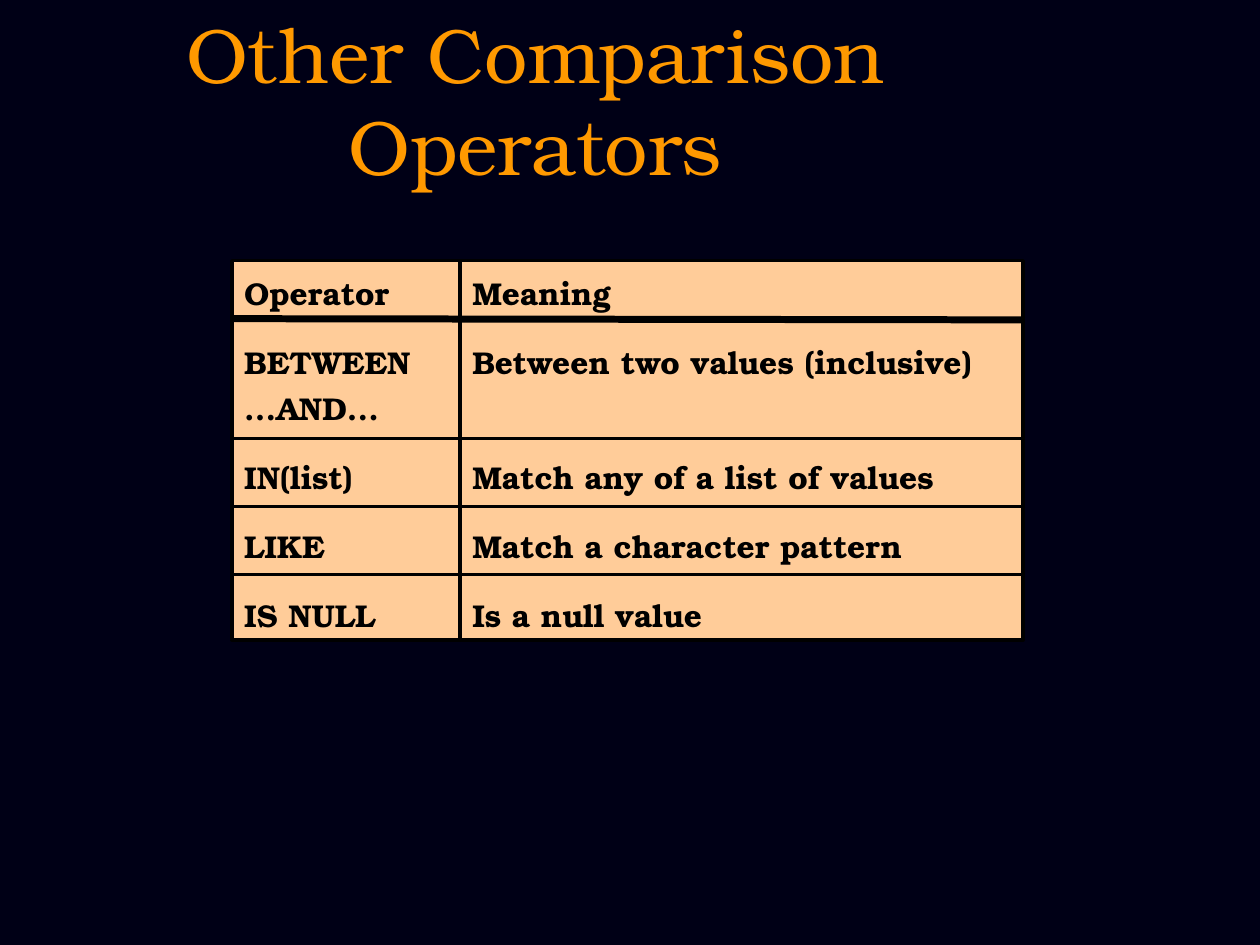
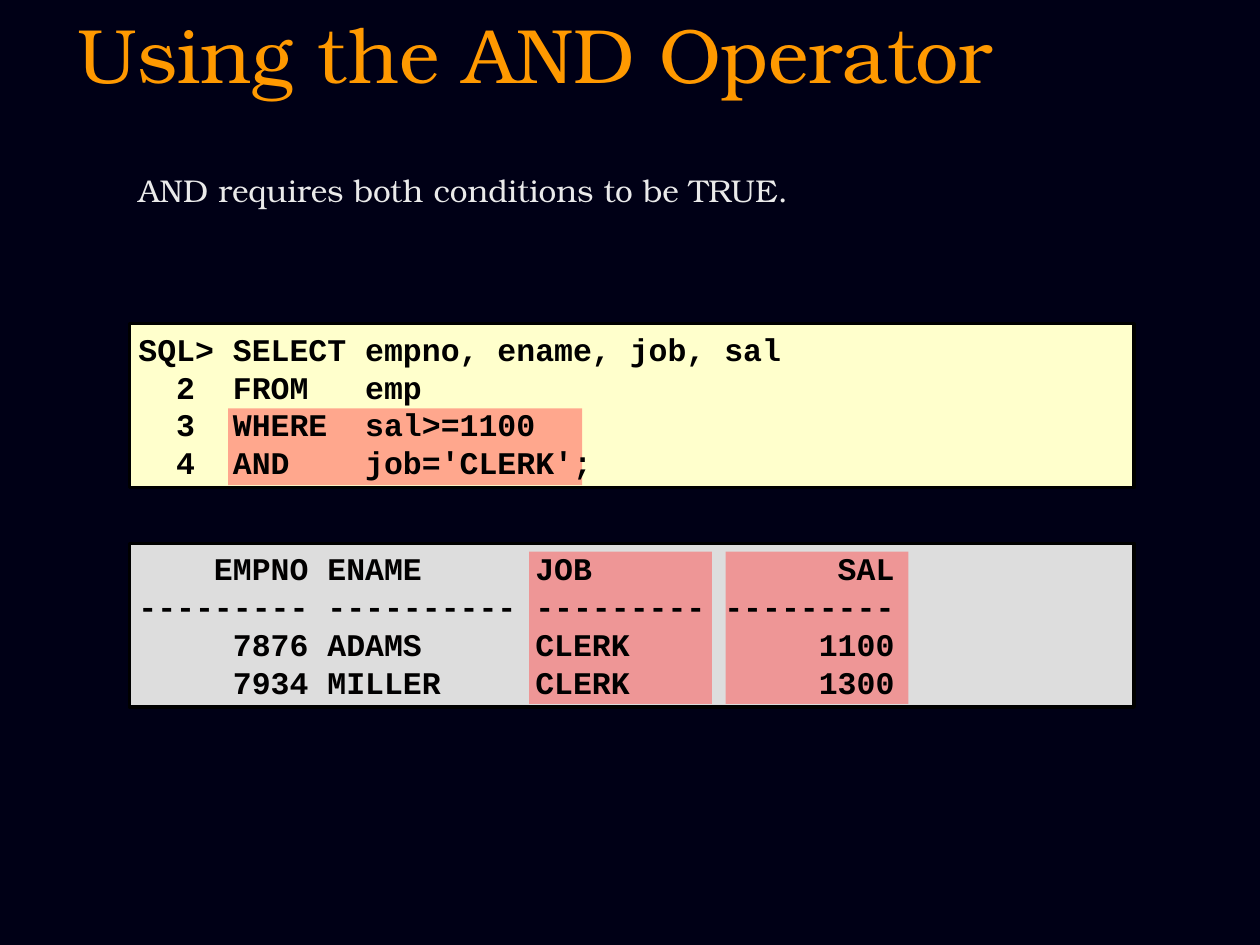
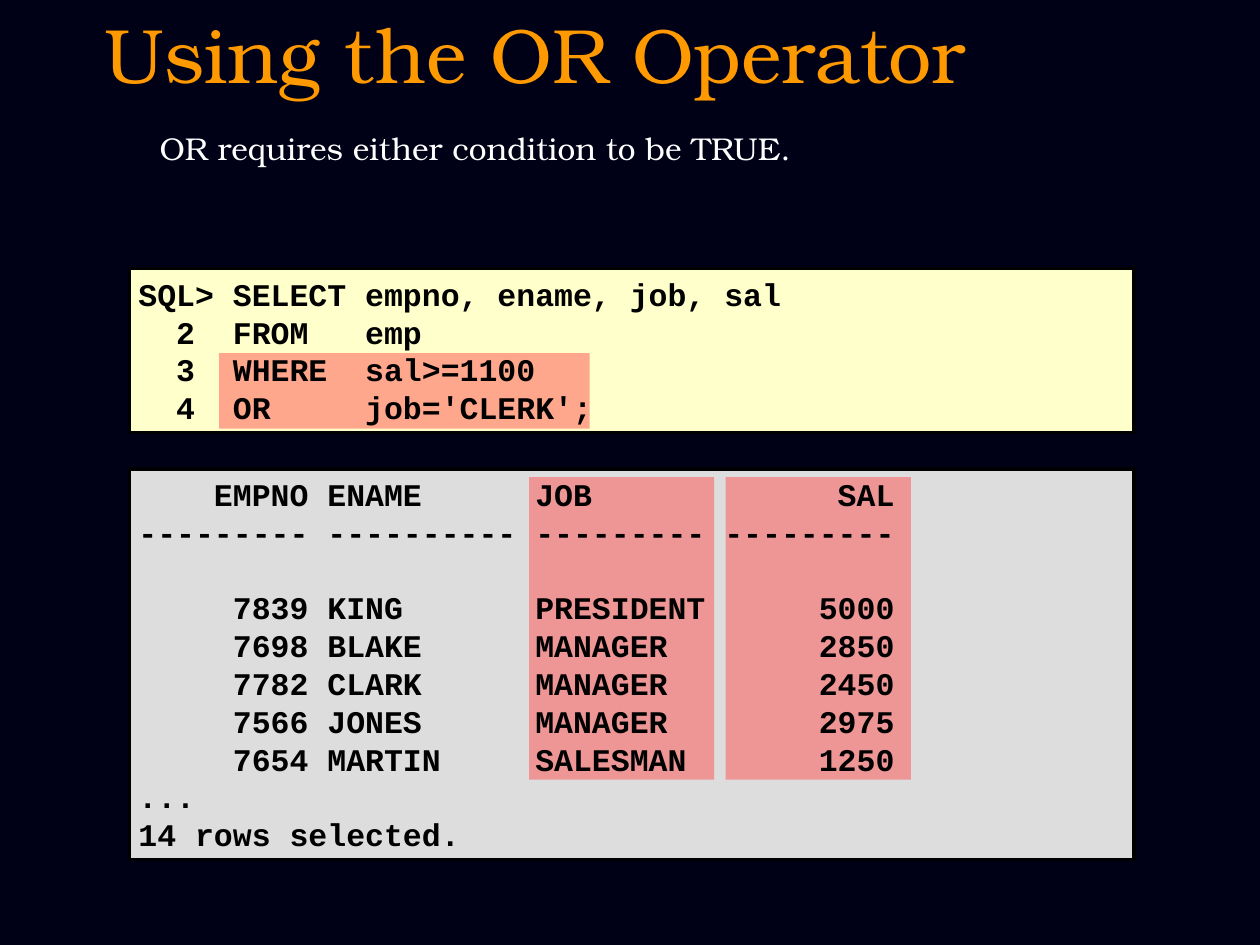
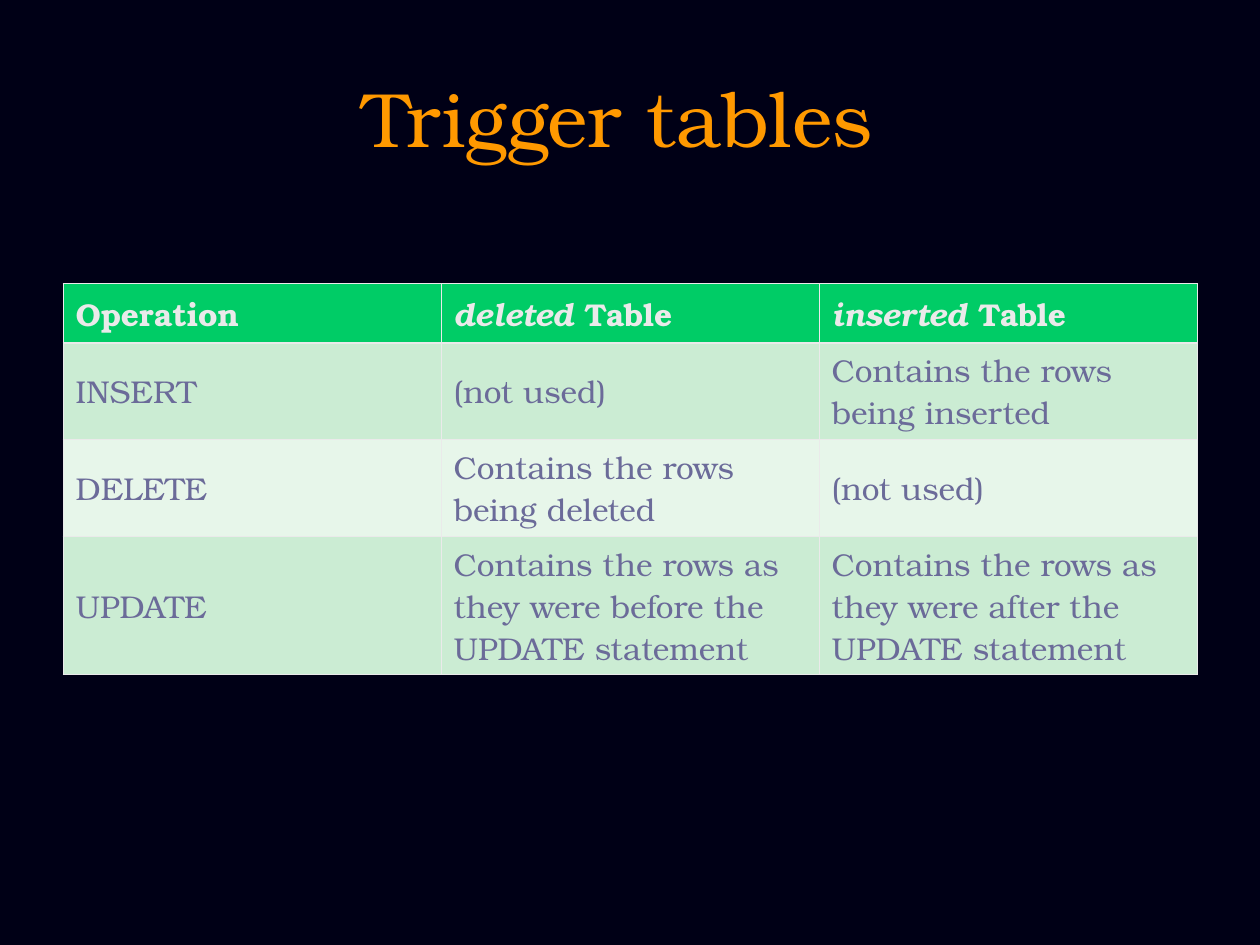
from pptx import Presentation
from pptx.dml.color import RGBColor
from pptx.enum import shapes, text
from pptx.oxml import parse_xml
from pptx.oxml import ns
from pptx.util import Pt

# Shared look
NIGHT = RGBColor(0x00, 0x00, 0x16)
ORANGE = RGBColor(0xFF, 0x99, 0x00)
PEACH = RGBColor(0xFF, 0xCC, 0x99)
CREAM = RGBColor(0xFF, 0xFF, 0xCC)
SILVER = RGBColor(0xDD, 0xDD, 0xDD)
RED = RGBColor(0xFF, 0x50, 0x50)
PALE = RGBColor(0xEA, 0xEA, 0xEA)
WHITE = RGBColor(0xFF, 0xFF, 0xFF)
BLACK = RGBColor(0x00, 0x00, 0x00)
INK = RGBColor(0x01, 0x00, 0x00)
GREEN = RGBColor(0x00, 0xCC, 0x66)
MINT = RGBColor(0xCB, 0xEC, 0xD3)
LIGHT_MINT = RGBColor(0xE7, 0xF6, 0xEA)
VIOLET = RGBColor(0x6B, 0x6B, 0x99)

SERIF = "TeX Gyre Bonum"
MONO = "Courier New"
TOP = text.MSO_ANCHOR.TOP
MIDDLE = text.MSO_ANCHOR.MIDDLE
LEFT = text.PP_ALIGN.LEFT
CENTER = text.PP_ALIGN.CENTER

TITLE_BOX = (0, 0, 612, 54)
PANEL_LEFT, PANEL_WIDTH = 74, 574
QUERY_HEIGHT = 93.6
CODE_LINE = 21.5


def points(*lengths):
    return [Pt(length) for length in lengths]


def write(para, content, *, font=SERIF, size=18, color=BLACK, bold=False,
          italic=False, align=LEFT, spacing=None, before=0):
    """Append formatted text to a paragraph; a newline becomes a line break."""
    para.alignment = align
    para.space_before = Pt(before)
    if spacing:
        para.line_spacing = spacing
    for number, line in enumerate(content.split("\n")):
        if number:
            para.add_line_break()
        span = para.add_run()
        span.text = line
        span.font.name = font
        span.font.size = Pt(size)
        span.font.color.rgb = color
        span.font.bold = bold
        span.font.italic = italic


def prepare_frame(frame, anchor=TOP):
    frame.word_wrap = True
    frame.auto_size = text.MSO_AUTO_SIZE.NONE
    frame.vertical_anchor = anchor
    frame.margin_left = frame.margin_right = Pt(7.2)
    frame.margin_top = frame.margin_bottom = Pt(3.6)
    return frame


def write_lines(frame, lines, gaps=None, **style):
    """Fill a frame with one paragraph a line; gaps gives the space before some."""
    for number, line in enumerate(lines):
        para = frame.paragraphs[0] if number == 0 else frame.add_paragraph()
        before = (gaps or {}).get(number, 0)
        write(para, line, before=before, **style)


def add_page(deck, title, box=TITLE_BOX, anchor=TOP):
    page = deck.slides.add_slide(deck.slide_layouts[5])
    holder = page.shapes.title
    holder.left, holder.top, holder.width, holder.height = points(*box)
    frame = prepare_frame(holder.text_frame, anchor)
    write(frame.paragraphs[0], title, size=44, color=ORANGE, align=CENTER)
    return page


def add_rectangle(page, box, fill, outlined=True, opacity=None):
    shape = page.shapes.add_shape(shapes.MSO_SHAPE.RECTANGLE, *points(*box))
    shape.shadow.inherit = False
    shape.fill.solid()
    shape.fill.fore_color.rgb = fill
    if outlined:
        shape.line.color.rgb = BLACK
        shape.line.width = Pt(2)
    else:
        shape.line.fill.background()
    if opacity:
        color = shape.fill._xPr.find(".//" + ns.qn("a:srgbClr"))
        color.append(parse_xml(
            f'<a:alpha {ns.nsdecls("a")} val="{opacity * 1000}"/>'))
    return shape


def add_rule(page, start, end, width):
    rule = page.shapes.add_connector(
        shapes.MSO_CONNECTOR.STRAIGHT, *points(*start, *end))
    rule.line.color.rgb = BLACK
    rule.line.width = Pt(width)
    rule._element.spPr.append(parse_xml(f'<a:effectLst {ns.nsdecls("a")}/>'))


def add_sentence(page, box, content, color, margin=0, indent=0):
    frame = prepare_frame(page.shapes.add_textbox(*points(*box)).text_frame)
    para = frame.paragraphs[0]
    write(para, content, color=color, spacing=0.95)
    properties = para._p.get_or_add_pPr()
    properties.set("marL", str(Pt(margin)))
    properties.set("indent", str(Pt(indent)))


def add_code_panel(page, box, fill, lines, marks, gaps=None):
    """Code on a panel; marks are highlight boxes relative to the panel."""
    left, top, width, height = box
    add_rectangle(page, box, fill)
    for x, y, mark_width, mark_height in marks:
        add_rectangle(page, (left + x, top + y, mark_width, mark_height), RED,
                      outlined=False, opacity=50)
    label = page.shapes.add_textbox(
        *points(left - 2, top - 1.2, width + 2, height + 2.2))
    write_lines(prepare_frame(label.text_frame, MIDDLE), lines, gaps,
                font=MONO, color=INK, bold=True)


def add_query(page, top, operator, mark):
    lines = ["SQL> SELECT empno, ename, job, sal",
             "  2  FROM   emp",
             "  3  WHERE  sal>=1100",
             f"  4  {operator:<6} job='CLERK';"]
    add_code_panel(page, (PANEL_LEFT, top, PANEL_WIDTH, QUERY_HEIGHT),
                   CREAM, lines, [mark])


def add_result(page, top, height, rows, mark_size, closing=(), gaps=None):
    lines = ["    EMPNO ENAME      JOB             SAL",
             "--------- ---------- --------- ---------"]
    lines += [f"{number:>9} {name:<10} {job:<9} {salary:>9}"
              for number, name, job, salary in rows]
    lines += closing
    marks = [(x, 4.7, *mark_size) for x in (228.4, 340.7)]
    add_code_panel(page, (PANEL_LEFT, top, PANEL_WIDTH, height),
                   SILVER, lines, marks, gaps)


def add_operator_grid(page, box):
    """Two outlined columns of text, parted by rules."""
    left, top, width, height = box
    split = 130.3
    row_gap, line_height = 13.5, 26
    gaps = dict.fromkeys(range(1, 5), row_gap)
    operators = ["Operator", "BETWEEN\n...AND...", "IN(list)", "LIKE", "IS NULL"]
    meanings = ["Meaning", "Between two values (inclusive)",
                "Match any of a list of values", "Match a character pattern",
                "Is a null value"]
    # The third meaning also clears the second line of its neighbour
    columns = [(0, 131.8, operators, gaps),
               (split, width - split, meanings, {**gaps, 2: row_gap + line_height})]
    for x, column_width, lines, column_gaps in columns:
        column = add_rectangle(page, (left + x, top, column_width, height), PEACH)
        write_lines(prepare_frame(column.text_frame), lines, column_gaps,
                    bold=True, spacing=1.2)
    right = left + width
    add_rule(page, (left, top + 33.1), (right, top + 33.8), 4)
    for y in (101.5, 140.4, 179.3):
        add_rule(page, (left - 1, top + y), (right + 1, top + y), 2)


def set_borders(cell, widths):
    properties = cell._tc.get_or_add_tcPr()
    for side, width in zip("LRTB", widths):
        properties.append(parse_xml(
            f'<a:ln{side} {ns.nsdecls("a")} w="{Pt(width)}"><a:solidFill>'
            f'<a:srgbClr val="{PALE}"/></a:solidFill></a:ln{side}>'))


def add_trigger_table(page, box):
    rows = [["Operation", "deleted Table", "inserted Table"],
            ["INSERT", "(not used)", "Contains the rows being inserted"],
            ["DELETE", "Contains the rows being deleted", "(not used)"],
            ["UPDATE",
             "Contains the rows as they were before the UPDATE statement",
             "Contains the rows as they were after the UPDATE statement"]]
    heights = [28.8, 50.4, 50.4, 72]
    fills = [GREEN, MINT, LIGHT_MINT, MINT]
    thin, thick = 0.45, 1.47
    table = page.shapes.add_table(len(rows), len(rows[0]), *points(*box)).table
    for r, row in enumerate(rows):
        table.rows[r].height = Pt(heights[r])
        for c, content in enumerate(row):
            cell = table.cell(r, c)
            set_borders(cell, (thin, thin, thick if r == 1 else thin,
                               thick if r == 0 else thin))
            cell.fill.solid()
            cell.fill.fore_color.rgb = fills[r]
            cell.vertical_anchor = MIDDLE
            para = cell.text_frame.paragraphs[0]
            if r == 0:
                name, space, rest = content.partition(" ")
                write(para, name, color=PALE, bold=True, italic=c > 0)
                if rest:
                    write(para, space + rest, color=PALE, bold=True)
            else:
                write(para, content, color=VIOLET)


def build_comparison_page(deck):
    page = add_page(deck, "Other Comparison Operators")
    add_operator_grid(page, (132.5, 149, 452.2, 216.7))


def build_and_page(deck):
    page = add_page(deck, "Using the AND Operator")
    add_sentence(page, (72, 95.8, 576, 28),
                 "AND requires both conditions to be TRUE.", PALE)
    add_query(page, 185, "AND", (56.3, 48.3, 202.3, 43.9))
    add_result(page, 310.5, QUERY_HEIGHT,
               [(7876, "ADAMS", "CLERK", 1100), (7934, "MILLER", "CLERK", 1300)],
               (104.4, 87))


def build_or_page(deck):
    page = add_page(deck, "Using the OR Operator")
    add_sentence(page, (75.6, 72, 572.4, 28),
                 "OR requires either condition to be TRUE.", WHITE,
                 margin=26.6, indent=-18)
    add_query(page, 153.5, "OR", (51.3, 48.3, 211.7, 43.2))
    add_result(page, 268, 223.2,
               [(7839, "KING", "PRESIDENT", 5000),
                (7698, "BLAKE", "MANAGER", 2850),
                (7782, "CLARK", "MANAGER", 2450),
                (7566, "JONES", "MANAGER", 2975),
                (7654, "MARTIN", "SALESMAN", 1250)],
               (105.8, 172.8), ["...", "14 rows selected."], {2: CODE_LINE})


def build_trigger_page(deck):
    page = add_page(deck, "Trigger tables ", (36, 21.6, 648, 90), MIDDLE)
    add_trigger_table(page, (36, 162, 648, 201.6))


def main():
    deck = Presentation()
    deck.slide_width, deck.slide_height = points(720, 540)
    background = deck.slide_master.background.fill
    background.solid()
    background.fore_color.rgb = NIGHT
    build_comparison_page(deck)
    build_and_page(deck)
    build_or_page(deck)
    build_trigger_page(deck)
    deck.save("out.pptx")


if __name__ == "__main__":
    main()
